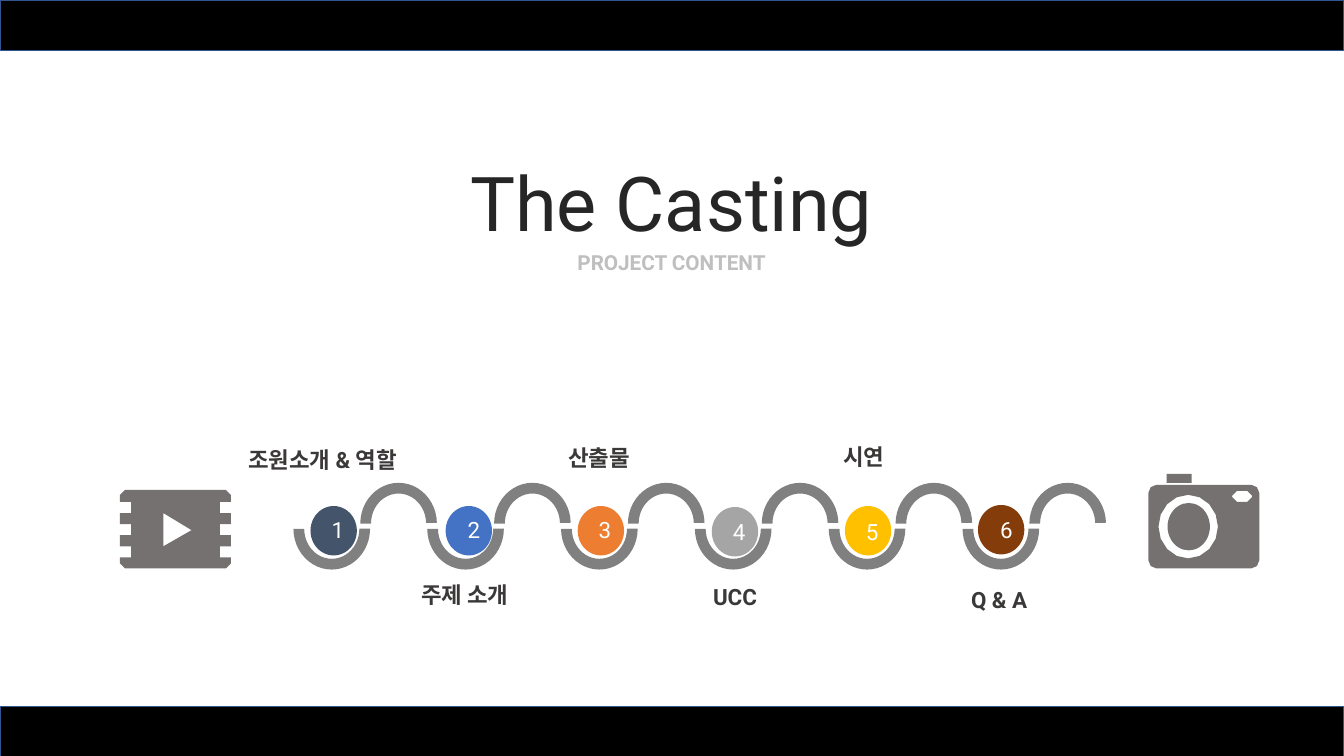
"""Build the project contents slide with a wavy six-step path between a film and a camera."""
import math
from dataclasses import dataclass

import pptx
import pptx.dml.color
import pptx.enum.shapes
import pptx.enum.text
import pptx.util

Inches = pptx.util.Inches
Pt = pptx.util.Pt
Shape = pptx.enum.shapes.MSO_SHAPE
Anchor = pptx.enum.text.MSO_ANCHOR
Point = tuple[float, float]

FONT = "Roboto"
COLORS = {
    "title": "262626", "subtitle": "BFBFBF", "label": "3B3838", "number": "FFFFFF",
    "wave": "808080", "icon": "767171", "bar": "000000", "bar_edge": "325491",
    "navy": "44546A", "blue": "4472C4", "orange": "ED7D31",
    "gray": "A5A5A5", "gold": "FFC000", "brown": "843C0B",
}


@dataclass(frozen=True)
class Box:
    """A rectangle in inches."""
    left: float
    top: float
    width: float
    height: float

    def lengths(self) -> list[int]:
        """Return the four lengths for python-pptx."""
        return [Inches(v) for v in (self.left, self.top, self.width, self.height)]


@dataclass(frozen=True)
class Section:
    """One numbered step of the path with its label."""
    label: str
    label_box: Box
    color: str
    dot: Point
    number_box: Box


SECTIONS = [
    Section("조원소개 & 역할", Box(2.09, 4.38, 2.22, 0.37), "navy",
            (3.08, 5.02), Box(3.19, 5.07, 0.24, 0.54)),
    Section("주제 소개", Box(3.66, 5.72, 1.9, 0.37), "blue",
            (4.42, 5.02), Box(4.54, 5.07, 0.23, 0.54)),
    Section("산출물", Box(4.99, 4.36, 1.9, 0.37), "orange",
            (5.73, 5.02), Box(5.84, 5.07, 0.24, 0.54)),
    Section("UCC", Box(6.08, 5.74, 2.42, 0.37), "gray",
            (7.06, 5.03), Box(7.17, 5.09, 0.24, 0.54)),
    Section("시연", Box(7.62, 4.35, 1.9, 0.37), "gold",
            (8.38, 5.02), Box(8.49, 5.09, 0.24, 0.54)),
    Section("Q & A", Box(8.7, 5.77, 2.42, 0.37), "brown",
            (9.7, 5.01), Box(9.82, 5.07, 0.24, 0.37)),
]
WAVE_LEFT, WAVE_RIGHT = 2.91, 10.21
BAR_TOPS = (0, 7.01)


def rgb(name: str) -> pptx.dml.color.RGBColor:
    """Look up a named colour."""
    return pptx.dml.color.RGBColor.from_string(COLORS[name])


def paint(shape, color: str) -> None:
    """Give a shape a flat fill without line or shadow."""
    shape.shadow.inherit = False
    shape.fill.solid()
    shape.fill.fore_color.rgb = rgb(color)
    shape.line.fill.background()


def add_preset(slide, preset, box: Box, color: str):
    """Add a flat preset shape."""
    shape = slide.shapes.add_shape(preset, *box.lengths())
    paint(shape, color)
    return shape


def write(shape, text: str, size: float, color: str, bold: bool = False):
    """Write one centred paragraph and return it."""
    frame = shape.text_frame
    frame.text = text
    frame.word_wrap = True
    frame.auto_size = pptx.enum.text.MSO_AUTO_SIZE.NONE
    paragraph = frame.paragraphs[0]
    paragraph.alignment = pptx.enum.text.PP_ALIGN.CENTER
    paragraph.font.name = FONT
    paragraph.font.size = Pt(size)
    paragraph.font.bold = bold
    paragraph.font.color.rgb = rgb(color)
    return paragraph


def add_text(slide, text: str, box: Box, color: str, bold: bool = False) -> None:
    """Add a 16-point text box."""
    write(slide.shapes.add_textbox(*box.lengths()), text, 16, color, bold)


def fill_heading(heading, text: str, box: Box, size: float, color: str,
                 bold: bool, anchor):
    """Move and format a heading placeholder."""
    heading.left, heading.top, heading.width, heading.height = box.lengths()
    frame = heading.text_frame
    frame.margin_left = frame.margin_right = Inches(0.07)
    frame.margin_top = frame.margin_bottom = Inches(0.04)
    frame.vertical_anchor = anchor
    paragraph = write(heading, text, size, color, bold)
    paragraph.space_before = Pt(0)
    return paragraph


def rounded(box: Box, rx: float, ry: float, steps: int) -> list[Point]:
    """Return a rounded outline, clockwise from the left end of the top-left corner."""
    right, bottom = box.left + box.width, box.top + box.height
    centers = [(box.left + rx, box.top + ry), (right - rx, box.top + ry),
               (right - rx, bottom - ry), (box.left + rx, bottom - ry)]
    points = []
    for corner, (x, y) in enumerate(centers):
        for step in range(steps + 1):
            angle = math.pi * (1 + corner / 2 + step / steps / 2)
            points.append((x + rx * math.cos(angle), y + ry * math.sin(angle)))
    return points


def oval(box: Box, sides: int) -> list[Point]:
    """Return an oval outline with the given number of sides."""
    rx, ry = box.width / 2, box.height / 2
    angles = [2 * math.pi * side / sides for side in range(sides)]
    return [(box.left + rx + rx * math.cos(a), box.top + ry + ry * math.sin(a)) for a in angles]


def add_outline(slide, contours: list[list[Point]], color: str) -> None:
    """Add a freeform whose later contours are holes in the first."""
    scaled = [[(Inches(x), Inches(y)) for x, y in contour] for contour in contours]
    builder = slide.shapes.build_freeform(*scaled[0][0])
    builder.add_line_segments(scaled[0][1:])
    for hole in scaled[1:]:
        builder.move_to(*hole[0])
        builder.add_line_segments(hole[1:])
    paint(builder.convert_to_shape(), color)


def add_film(slide) -> None:
    """Draw the film frame with sprocket notches and a play mark."""
    body = Box(1.19, 4.86, 1.1, 0.78)
    ring = rounded(body, 0.05, 0.05, 1)
    half = len(ring) // 2
    notch = 0.11
    right_side, left_side = [], []
    for index in range(3):
        top = 4.98 + 2 * notch * index
        for depth, y in ((0, top), (notch, top), (notch, top + notch), (0, top + notch)):
            right_side.append((body.left + body.width - depth, y))
            left_side.insert(0, (body.left + depth, y))
    play = [(1.62, 5.42), (1.62, 5.09), (1.9, 5.26)]
    add_outline(slide, [ring[:half] + right_side + ring[half:] + left_side, play], "icon")


def add_camera(slide) -> None:
    """Draw the camera body, shutter and lens."""
    body = rounded(Box(11.39, 4.81, 1.1, 0.83), 0.08, 0.08, 2)
    flash = rounded(Box(12.22, 4.87, 0.2, 0.11), 0.05, 0.05, 1)
    add_outline(slide, [body, oval(Box(11.49, 4.91, 0.59, 0.63), 16), flash], "icon")
    add_preset(slide, Shape.RECTANGLE, Box(11.57, 4.7, 0.25, 0.09), "icon")
    add_preset(slide, Shape.OVAL, Box(11.58, 4.99, 0.42, 0.47), "icon")


def add_wave(slide) -> None:
    """Draw alternating lower and upper half rings, two for each section."""
    count = 2 * len(SECTIONS)
    for index in range(count):
        left = WAVE_LEFT + (WAVE_RIGHT - WAVE_LEFT) * index / (count - 1)
        upper = index % 2
        arc = add_preset(slide, Shape.BLOCK_ARC,
                         Box(left, 4.79 if upper else 4.84, 0.76, 0.81), "wave")
        arc.rotation = 0 if upper else 180
        for position, value in enumerate((108, 215.18 if upper else 215.86, 0.14)):
            arc.adjustments[position] = value


def main() -> None:
    """Build and save the slide."""
    deck = pptx.Presentation()
    deck.slide_width, deck.slide_height = Inches(13.33), Inches(7.5)
    slide = deck.slides.add_slide(deck.slide_layouts[0])
    title = fill_heading(slide.shapes.title, "The Casting", Box(4.55, 1.06, 4.22, 2.69),
                         54, "title", False, Anchor.TOP)
    title.line_spacing = 1.5
    title.space_before = Pt(4)
    fill_heading(slide.placeholders[1], "PROJECT CONTENT", Box(4.97, 2.45, 3.38, 0.3),
                 14.8, "subtitle", True, Anchor.MIDDLE)
    add_wave(slide)
    for number, section in enumerate(SECTIONS, 1):
        add_preset(slide, Shape.OVAL, Box(*section.dot, 0.46, 0.49), section.color)
        add_text(slide, str(number), section.number_box, "number")
        add_text(slide, section.label, section.label_box, "label", True)
    add_film(slide)
    add_camera(slide)
    for top in BAR_TOPS:
        bar = add_preset(slide, Shape.RECTANGLE, Box(0, top, 13.33, 0.5), "bar")
        bar.line.color.rgb = rgb("bar_edge")
        bar.line.width = Pt(1)
    deck.save("out.pptx")


if __name__ == "__main__":
    main()
